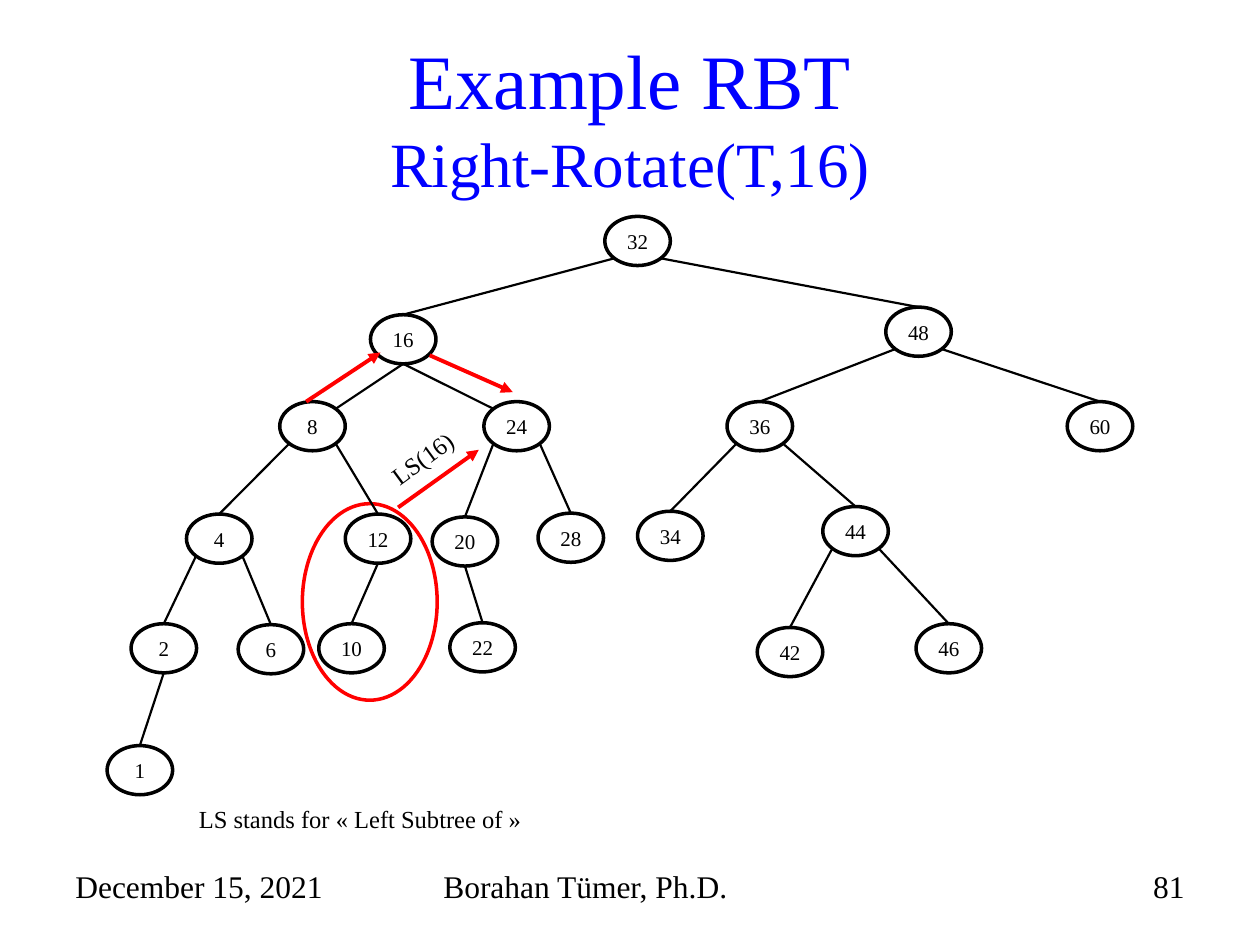
from dataclasses import dataclass
from math import sqrt

from lxml import etree
from pptx import Presentation
from pptx import util as u
from pptx.dml.color import RGBColor
from pptx.enum import shapes, text
from pptx.oxml.ns import qn


@dataclass(frozen=True)
class Theme:
    font: str = "Times New Roman"
    ink: str = "000000"
    title: str = "0000FF"
    accent: str = "FF0000"
    title_pt: float = 44
    subtitle_pt: float = 36
    footer_pt: float = 18
    note_pt: float = 14
    node_pt: float = 12
    outline_pt: float = 2
    edge_pt: float = 1.25
    arrow_pt: float = 2.25


T = Theme()
SLIDE_W, SLIDE_H = u.Inches(10), u.Inches(7.5)
NODE_W, NODE_H = 5.2, 5.2  # percent of slide width and height
CORNER = sqrt(0.5) / 2  # diagonal point of an ellipse, as a share of its size
ALIGN = text.PP_ALIGN

# Key: centre x, centre y, in percent of the slide
NODES = {
    32: (50.6, 25.5), 16: (32, 35.9), 48: (72.9, 35.1),
    8: (24.8, 45.1), 24: (41, 45.1), 36: (60.3, 45.1), 60: (87.3, 45.1),
    4: (17.4, 57), 12: (30, 57), 20: (36.9, 57.3), 28: (45.3, 56.9),
    34: (53.2, 56.7), 44: (67.9, 56.2),
    2: (13, 68.6), 6: (21.5, 68.7), 10: (27.9, 68.6), 22: (38.3, 68.5),
    42: (62.7, 69), 46: (75.3, 68.6), 1: (11.1, 81.5),
}
CHILDREN = {
    32: (16, 48), 16: (8, 24), 48: (36, 60), 8: (4, 12), 24: (20, 28),
    36: (34, 44), 4: (2, 6), 44: (42, 46), 12: (10,), 20: (22,), 2: (1,),
}
BOTTOM_PARENTS = {16, 12, 20, 2}  # their edges leave from the lowest point
CORNER_CHILDREN = {8, 24}  # their edges arrive at the upper inner corner

ROTATION_ARROWS = [
    ((24.3, 42.5), (30.2, 37.3)),
    ((34.1, 37.6), (40.7, 41.5)),
    ((31.6, 53.7), (38, 47.6)),
]


def place(x, y):
    """Turn percentages of the slide into lengths."""
    return u.Emu(round(SLIDE_W * x / 100)), u.Emu(round(SLIDE_H * y / 100))


def box(x, y, w, h):
    return (*place(x, y), *place(w, h))


def add_run(p, wording, size, color=T.ink):
    r = p.add_run()
    r.text = wording
    r.font.name = T.font
    r.font.size = u.Pt(size)
    r.font.color.rgb = RGBColor.from_string(color)


def add_title(s, heading, subheading):
    sp = s.shapes.title
    sp.left, sp.top, sp.width, sp.height = box(5, 4, 90, 16.67)
    tf = sp.text_frame
    tf.auto_size = text.MSO_AUTO_SIZE.NONE
    tf.vertical_anchor = text.MSO_ANCHOR.MIDDLE
    p = tf.paragraphs[0]
    p.alignment = ALIGN.CENTER
    add_run(p, heading, T.title_pt, T.title)
    p.add_line_break()
    add_run(p, subheading, T.subtitle_pt, T.title)


def add_label(s, area, wording, size, align=ALIGN.LEFT):
    sp = s.shapes.add_textbox(*box(*area))
    tf = sp.text_frame
    tf.word_wrap = True
    p = tf.paragraphs[0]
    p.alignment = align
    add_run(p, wording, size)
    return sp


def add_ellipse(s, area, color):
    sp = s.shapes.add_shape(shapes.MSO_SHAPE.OVAL, *box(*area))
    sp.shadow.inherit = False
    sp.fill.background()
    sp.line.color.rgb = RGBColor.from_string(color)
    sp.line.width = u.Pt(T.outline_pt)
    return sp


def add_node(s, key):
    x, y = NODES[key]
    sp = add_ellipse(s, (x - NODE_W / 2, y - NODE_H / 2, NODE_W, NODE_H), T.ink)
    tf = sp.text_frame
    tf.margin_left = tf.margin_right = tf.margin_top = tf.margin_bottom = 0
    tf.word_wrap = False
    tf.vertical_anchor = text.MSO_ANCHOR.MIDDLE
    p = tf.paragraphs[0]
    p.alignment = ALIGN.CENTER
    add_run(p, str(key), T.node_pt)
    return sp


def add_line(s, start, end, color, width):
    c = s.shapes.add_connector(shapes.MSO_CONNECTOR.STRAIGHT,
                               *place(*start), *place(*end))
    c.line.color.rgb = RGBColor.from_string(color)
    c.line.width = u.Pt(width)
    etree.SubElement(c.element.spPr, qn("a:effectLst"))
    return c


def add_arrow(s, start, end):
    c = add_line(s, start, end, T.accent, T.arrow_pt)
    ln = c.element.spPr.find(qn("a:ln"))
    etree.SubElement(ln, qn("a:tailEnd"), type="triangle")


def rim_point(key, across, down):
    """Point on a node's outline; across and down are -1, 0 or 1."""
    x, y = NODES[key]
    reach = CORNER if across else 0.5
    return x + across * reach * NODE_W, y + down * reach * NODE_H


def add_edge(s, parent, child, child_shape):
    side = 1 if NODES[child][0] > NODES[parent][0] else -1
    start = rim_point(parent, 0 if parent in BOTTOM_PARENTS else side, 1)
    at_corner = child in CORNER_CHILDREN
    end = rim_point(child, -side if at_corner else 0, -1)
    c = add_line(s, start, end, T.ink, T.edge_pt)
    if not at_corner:
        c.end_connect(child_shape, 0)


def add_tree(s):
    nodes = {key: add_node(s, key) for key in NODES}
    for parent, children in CHILDREN.items():
        for child in children:
            add_edge(s, parent, child, nodes[child])


def add_footer(s):
    for x, w, wording, align in [
        (5, 23.3, "December 15, 2021", ALIGN.LEFT),
        (34.2, 31.7, "Borahan Tümer, Ph.D.", ALIGN.LEFT),
        (71.7, 23.3, "81", ALIGN.RIGHT),
    ]:
        add_label(s, (x, 91.07, w, 6.93), wording, T.footer_pt, align)


def main():
    prs = Presentation()
    prs.slide_width, prs.slide_height = SLIDE_W, SLIDE_H
    s = prs.slides.add_slide(prs.slide_layouts[5])
    add_ellipse(s, (24, 53.3, 10.7, 20.8), T.accent)
    add_title(s, "Example RBT", "Right-Rotate(T,16)")
    add_footer(s)
    add_tree(s)
    for start, end in ROTATION_ARROWS:
        add_arrow(s, start, end)
    subtree = add_label(s, (27.7, 45.6, 13, 4.5), "LS(16)", T.note_pt)
    subtree.text_frame.margin_left = u.Inches(0.29)
    subtree.rotation = 323.8
    add_label(s, (14.8, 84.4, 28.8, 4.5),
              "LS stands for « Left Subtree of »", T.note_pt)
    prs.save("out.pptx")


if __name__ == "__main__":
    main()
